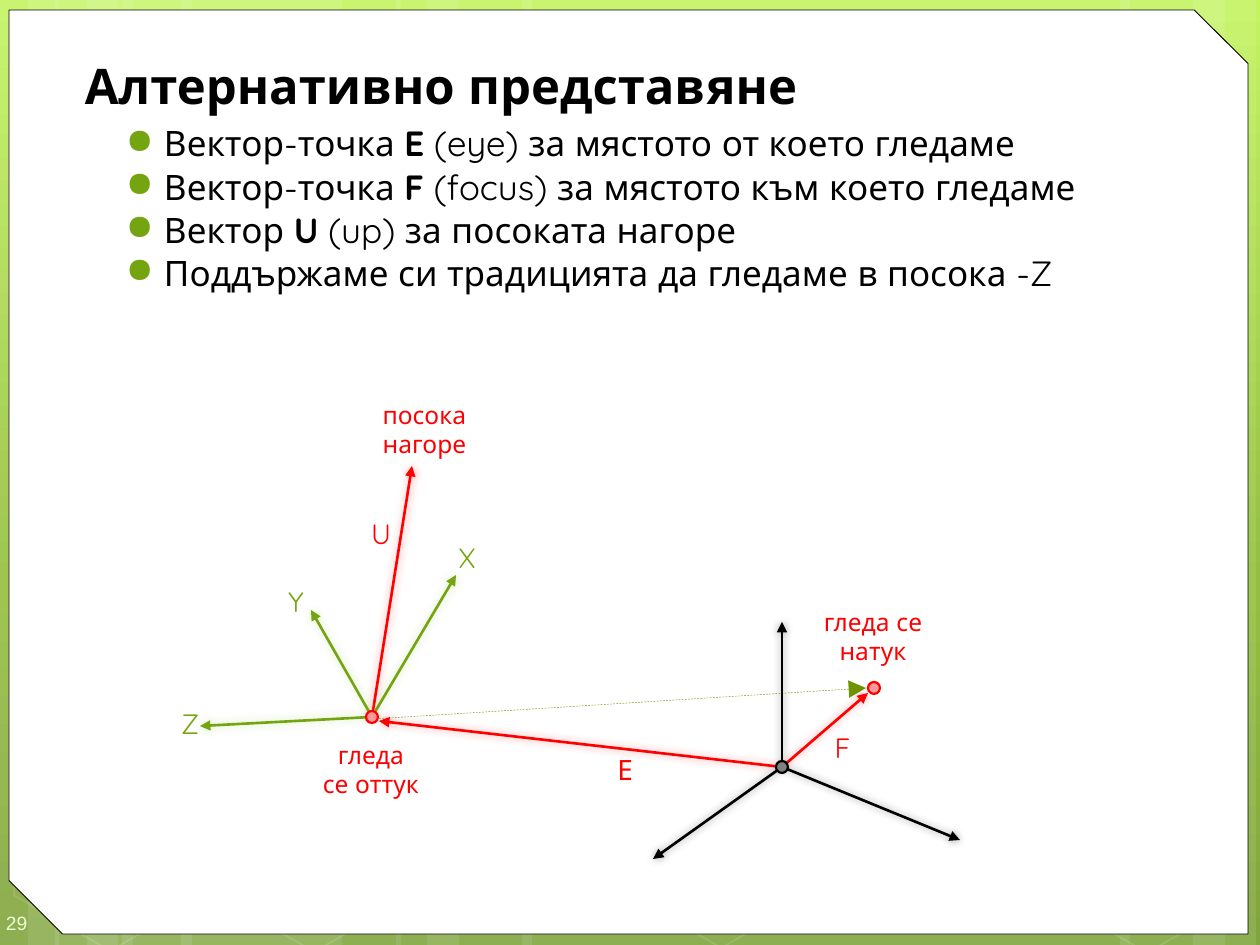
from copy import deepcopy
from dataclasses import dataclass

from lxml.etree import SubElement
from pptx import Presentation
from pptx.dml.color import RGBColor
from pptx.enum.dml import MSO_LINE_DASH_STYLE as Dash
from pptx.enum.shapes import MSO_CONNECTOR as Connector, MSO_SHAPE as Shape
from pptx.enum.text import MSO_ANCHOR as Anchor, MSO_AUTO_SIZE as AutoSize, PP_ALIGN as Align
from pptx.oxml.ns import qn
from pptx.util import Emu, Pt

PX_PER_INCH = 126


@dataclass(frozen=True)
class Theme:
    font: str = "Quicksand"
    number_font: str = "Arial"
    black: str = "000000"
    white: str = "FFFFFF"
    green: str = "74A510"
    glow: str = "92D050"
    gaze: str = "6F9400"
    red: str = "FF0000"
    pink: str = "FF9999"
    grey: str = "808080"
    number: str = "EEFFD6"
    backdrop: tuple = ((0, "C3F35F"), (0.62, "93BF3F"), (1, "81A53E"))
    title_size: int = 28
    bullet_size: int = 20
    axis_size: int = 16
    note_size: int = 14
    number_size: int = 11


THEME = Theme()

BULLETS = [
    ["Вектор-точка ", "E", " (eye) за мястото от което гледаме"],
    ["Вектор-точка ", "F", " (focus) за мястото към което гледаме"],
    ["Вектор ", "U", " (up) за посоката нагоре"],
    ["Поддържаме си традицията да гледаме в посока -Z"],
]
STRIPES = [(122, 220), (0, 59), (28, 105), (181, 220), (55, 63), (87, 105), (910, 220),
           (1193, 63), (1120, 105), (522, 388), (396, 63), (427, 105)]
HEXAGONS = [(0, 745), (204, 746), (611, 742), (1037, 747)]

EYE, FOCUS, ORIGIN = (372, 717), (874, 688), (782, 767)
ARROWS = [
    (EYE, (200, 726), THEME.green, THEME.glow),
    (EYE, (412, 466), THEME.red, THEME.red),
    (ORIGIN, (379, 721), THEME.red, THEME.red),
    (ORIGIN, (868, 693), THEME.red, THEME.red),
    (ORIGIN, (782, 622), THEME.black, THEME.black),
    (ORIGIN, (960, 840), THEME.black, THEME.black),
    (ORIGIN, (653, 859), THEME.black, THEME.black),
    (EYE, (456, 575), THEME.green, THEME.glow),
    (EYE, (311, 610), THEME.green, THEME.glow),
]
LABELS = [
    ("Z", 174, 694, 32, THEME.axis_size, THEME.green),
    ("гледа\vсе оттук", 300, 740, 142, THEME.note_size, THEME.red),
    ("гледа се натук", 802, 607, 142, THEME.note_size, THEME.red),
    ("посока нагоре", 355, 400, 139, THEME.note_size, THEME.red),
    ("Е", 598, 740, 54, THEME.axis_size, THEME.red),
    ("U", 365, 504, 32, THEME.axis_size, THEME.red),
    ("F", 809, 718, 67, THEME.axis_size, THEME.red),
    ("X", 451, 528, 32, THEME.axis_size, THEME.green),
    ("Y", 280, 572, 32, THEME.axis_size, THEME.green),
]
DOTS = [(FOCUS, THEME.pink, THEME.red), (EYE, THEME.pink, THEME.red),
        (ORIGIN, THEME.grey, THEME.black)]


def px(*lengths):
    return [Emu(round(length * 914400 / PX_PER_INCH)) for length in lengths]


def rgb(code):
    return RGBColor.from_string(code)


def set_format(target, **values):
    for name, value in values.items():
        setattr(target, name, value)


def set_font(font, size, color, name=THEME.font, bold=False):
    set_format(font, size=Pt(size), name=name, bold=bold)
    font.color.rgb = rgb(color)


def set_frame(frame, anchor, margins=(0, 0, 0, 0)):
    left, top, right, bottom = px(*margins)
    set_format(frame, word_wrap=True, auto_size=AutoSize.NONE, vertical_anchor=anchor,
               margin_left=left, margin_top=top, margin_right=right, margin_bottom=bottom)


def set_alpha(parent, percent):
    for color in parent.iter(qn("a:srgbClr")):
        SubElement(color, qn("a:alpha"), val=str(percent * 1000))


def paint_background(slide):
    fill = slide.background.fill
    fill.gradient()
    fill.gradient_angle = 270
    stop_list = next(slide.element.iter(qn("a:gsLst")))
    stop_list.append(deepcopy(stop_list[-1]))
    for stop, (position, color) in zip(fill.gradient_stops, THEME.backdrop):
        stop.position = position
        stop.color.rgb = rgb(color)


def add_shape(slide, kind, box, fill=None, line=None, weight=1):
    shape = slide.shapes.add_shape(kind, *px(*box))
    shape.shadow.inherit = False
    if fill:
        shape.fill.solid()
        shape.fill.fore_color.rgb = rgb(fill)
    else:
        shape.fill.background()
    if line:
        shape.line.color.rgb = rgb(line)
        shape.line.width = Pt(weight)
    else:
        shape.line.fill.background()
    return shape


def add_backdrop(slide):
    """Faint stripes and hexagons under the white panel with two cut corners."""
    for left, width in STRIPES:
        stripe = add_shape(slide, Shape.RECTANGLE, (left, 0, width, 945), fill=THEME.white)
        set_alpha(stripe.element.spPr, 10)
    for left, top in HEXAGONS:
        hexagon = add_shape(slide, Shape.HEXAGON, (left, top, 220, 191), line=THEME.white)
        hexagon.adjustments[0] = 0.285
        hexagon.rotation = 30
        set_alpha(hexagon.element.spPr, 12)
    panel = add_shape(slide, Shape.SNIP_2_DIAG_RECTANGLE, (9, 10, 1239, 924),
                      THEME.white, THEME.black, 0.5)
    panel.adjustments[0], panel.adjustments[1] = 0, 0.058


def add_title(slide, text):
    title = slide.shapes.title
    slide.shapes.element.append(title.element)  # bring in front of the panel
    left, top, width, height = px(85, 55, 1100, 67)
    set_format(title, left=left, top=top, width=width, height=height, text=text)
    set_frame(title.text_frame, Anchor.TOP)
    paragraph = title.text_frame.paragraphs[0]
    paragraph.alignment = Align.LEFT
    set_font(paragraph.runs[0].font, THEME.title_size, THEME.black, bold=True)


def add_bullets(slide):
    frame = slide.shapes.add_textbox(*px(76, 122, 1110, 200)).text_frame
    set_frame(frame, Anchor.TOP)
    margin, indent = px(88, -38)
    for index, parts in enumerate(BULLETS):
        paragraph = frame.add_paragraph() if index else frame.paragraphs[0]
        properties = paragraph._p.get_or_add_pPr()
        properties.set("marL", str(margin))
        properties.set("indent", str(indent))
        color = SubElement(properties, qn("a:buClr"))
        SubElement(color, qn("a:srgbClr"), val=THEME.green)
        SubElement(properties, qn("a:buChar"), char="●")
        if index:
            paragraph.space_before = Pt(0.6)
        for position, text in enumerate(parts):
            run = paragraph.add_run()
            run.text = text
            set_font(run.font, THEME.bullet_size, THEME.black, bold=position == 1)


def add_arrow(slide, start, tip, color, glow=None, weight=1.5, head="med"):
    arrow = slide.shapes.add_connector(Connector.STRAIGHT, *px(*start, *tip))
    arrow.line.color.rgb = rgb(color)
    arrow.line.width = Pt(weight)
    SubElement(arrow.line._get_or_add_ln(), qn("a:tailEnd"), type="triangle", w=head, len=head)
    effects = SubElement(arrow._element.spPr, qn("a:effectLst"))
    if glow:
        shadow = SubElement(effects, qn("a:outerShdw"), blurRad=str(Pt(5)), dist="0",
                            algn="ctr", rotWithShape="0")
        SubElement(shadow, qn("a:srgbClr"), val=glow)
        set_alpha(shadow, 40)
    return arrow


def add_label(slide, text, left, top, width, size, color):
    frame = slide.shapes.add_textbox(*px(left, top, width, 58)).text_frame
    set_frame(frame, Anchor.MIDDLE, (0, 6, 0, 6))
    frame.text = text
    paragraph = frame.paragraphs[0]
    paragraph.alignment = Align.CENTER
    for run in paragraph.runs:
        set_font(run.font, size, color)


def add_slide_number(slide, text):
    frame = slide.shapes.add_textbox(*px(0, 895, 73, 50)).text_frame
    set_frame(frame, Anchor.MIDDLE, (6, 19, 0, 13))
    frame.text = text
    set_font(frame.paragraphs[0].runs[0].font, THEME.number_size, THEME.number,
             THEME.number_font)


def main():
    presentation = Presentation()
    width, height = px(1260, 945)
    set_format(presentation, slide_width=width, slide_height=height)
    slide = presentation.slides.add_slide(presentation.slide_layouts[5])
    paint_background(slide)
    add_backdrop(slide)
    add_slide_number(slide, "29")
    add_title(slide, "Алтернативно представяне")
    add_bullets(slide)
    gaze = add_arrow(slide, (373, 719), (866, 688), THEME.gaze, weight=0.25, head="lg")
    gaze.line.dash_style = Dash.DASH
    for arrow in ARROWS:
        add_arrow(slide, *arrow)
    for label in LABELS:
        add_label(slide, *label)
    for (x, y), fill, line in DOTS:
        add_shape(slide, Shape.OVAL, (x - 6, y - 6, 12, 12), fill, line, 1.25)
    presentation.save("out.pptx")


if __name__ == "__main__":
    main()
